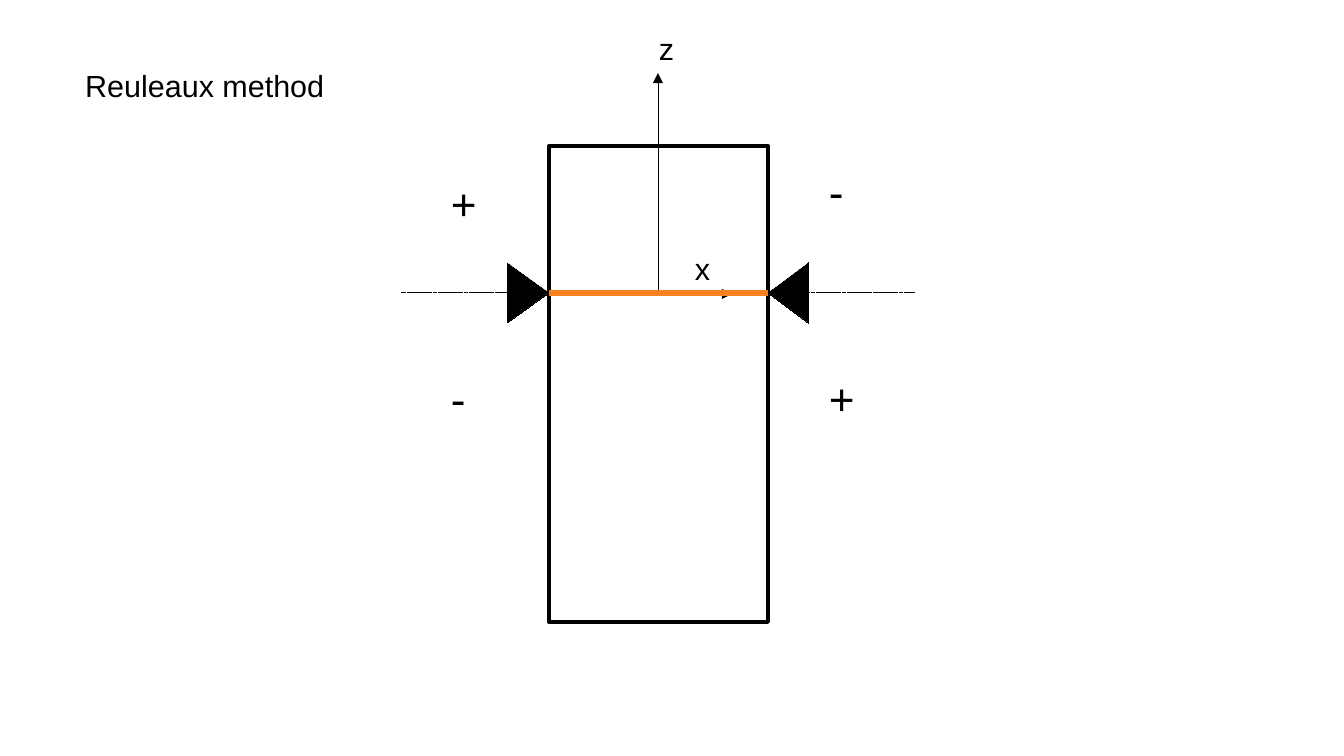
from lxml import etree
from pptx import Presentation
from pptx import util as u
from pptx.dml.color import RGBColor
from pptx.enum import dml, shapes, text
from pptx.oxml.ns import qn

COLORS = {"ink": "000000", "axis": "F58220"}
FONT = "Arial"
SLIDE = (1344, 756)
TITLE = ("Reuleaux method", (73, 61, 378, 73))
BODY = (549, 146, 219, 476)
AXIS_Y = 293
CENTER_X = BODY[0] + BODY[2] // 2
RIGHT_X = BODY[0] + BODY[2]
SIGNS = [
    ("+", (817, 366, 49, 61)),
    ("-", (817, 159, 49, 61)),
    ("+", (439, 171, 49, 61)),
    ("-", (439, 366, 49, 61)),
]
AXIS_NAMES = [
    ("z", (647, 24, 49, 46)),
    ("x", (683, 244, 73, 81)),
]
SUPPORTS = [
    (RIGHT_X, 1, 61, 270),
    (BODY[0], -1, 59, 90),
]
SUPPORT_DEPTH = 41
X_ARROW = (CENTER_X, AXIS_Y + 1, 732, AXIS_Y + 1)
Z_ARROW = (CENTER_X, AXIS_Y, CENTER_X, 73)
SUPPORT_LINE = (402, AXIS_Y, 915, AXIS_Y)
MIDDLE_AXIS = (BODY[0], AXIS_Y, RIGHT_X, AXIS_Y)


def px(value):
    return u.Emu(round(value * 914400 / 122))


def color(key):
    return RGBColor.from_string(COLORS[key])


def write(frame, words, size=18, ink="ink", align=text.PP_ALIGN.LEFT):
    frame.word_wrap = True
    frame.auto_size = text.MSO_AUTO_SIZE.NONE
    frame.vertical_anchor = text.MSO_ANCHOR.TOP
    paragraph = frame.paragraphs[0]
    paragraph.alignment = align
    run = paragraph.add_run()
    run.text = words
    run.font.name = FONT
    run.font.size = u.Pt(size)
    run.font.color.rgb = color(ink)


def set_stroke(part, width, ink):
    part._element.remove(part._element.find(qn("p:style")))
    part.line.color.rgb = color(ink)
    part.line.width = u.Pt(width)


def draw_shape(slide, kind, box, width=0, fill=None):
    part = slide.shapes.add_shape(kind, *map(px, box))
    part.shadow.inherit = False
    if fill:
        part.fill.solid()
        part.fill.fore_color.rgb = color(fill)
    else:
        part.fill.background()
    set_stroke(part, width, "ink")
    return part


def draw_line(slide, ends, width=0, ink="ink", dash=None, arrow=False):
    part = slide.shapes.add_connector(shapes.MSO_CONNECTOR.STRAIGHT, *map(px, ends))
    set_stroke(part, width, ink)
    if dash:
        part.line.dash_style = dash
    properties = part._element.spPr
    if arrow:
        etree.SubElement(properties.find(qn("a:ln")), qn("a:tailEnd"), type="triangle")
    etree.SubElement(properties, qn("a:effectLst"))


def main():
    deck = Presentation()
    deck.slide_width, deck.slide_height = map(px, SLIDE)
    slide = deck.slides.add_slide(deck.slide_layouts[5])

    heading, heading_box = TITLE
    title = slide.shapes.title
    title.left, title.top, title.width, title.height = map(px, heading_box)
    write(title.text_frame, heading)

    draw_shape(slide, shapes.MSO_SHAPE.RECTANGLE, BODY, width=2.3)
    draw_line(slide, X_ARROW, arrow=True)
    draw_line(slide, Z_ARROW, arrow=True)

    for tip, side, base, turn in SUPPORTS:
        middle = tip + side * SUPPORT_DEPTH / 2
        box = (middle - base / 2, AXIS_Y - SUPPORT_DEPTH / 2, base, SUPPORT_DEPTH)
        support = draw_shape(slide, shapes.MSO_SHAPE.ISOSCELES_TRIANGLE, box, fill="ink")
        support.rotation = turn

    draw_line(slide, SUPPORT_LINE, dash=dml.MSO_LINE.SQUARE_DOT)

    for labels, size in ((SIGNS, 26), (AXIS_NAMES, 18)):
        for words, box in labels:
            label = slide.shapes.add_textbox(*map(px, box))
            write(label.text_frame, words, size=size)

    draw_line(slide, MIDDLE_AXIS, width=3, ink="axis")
    deck.save("out.pptx")


if __name__ == "__main__":
    main()
